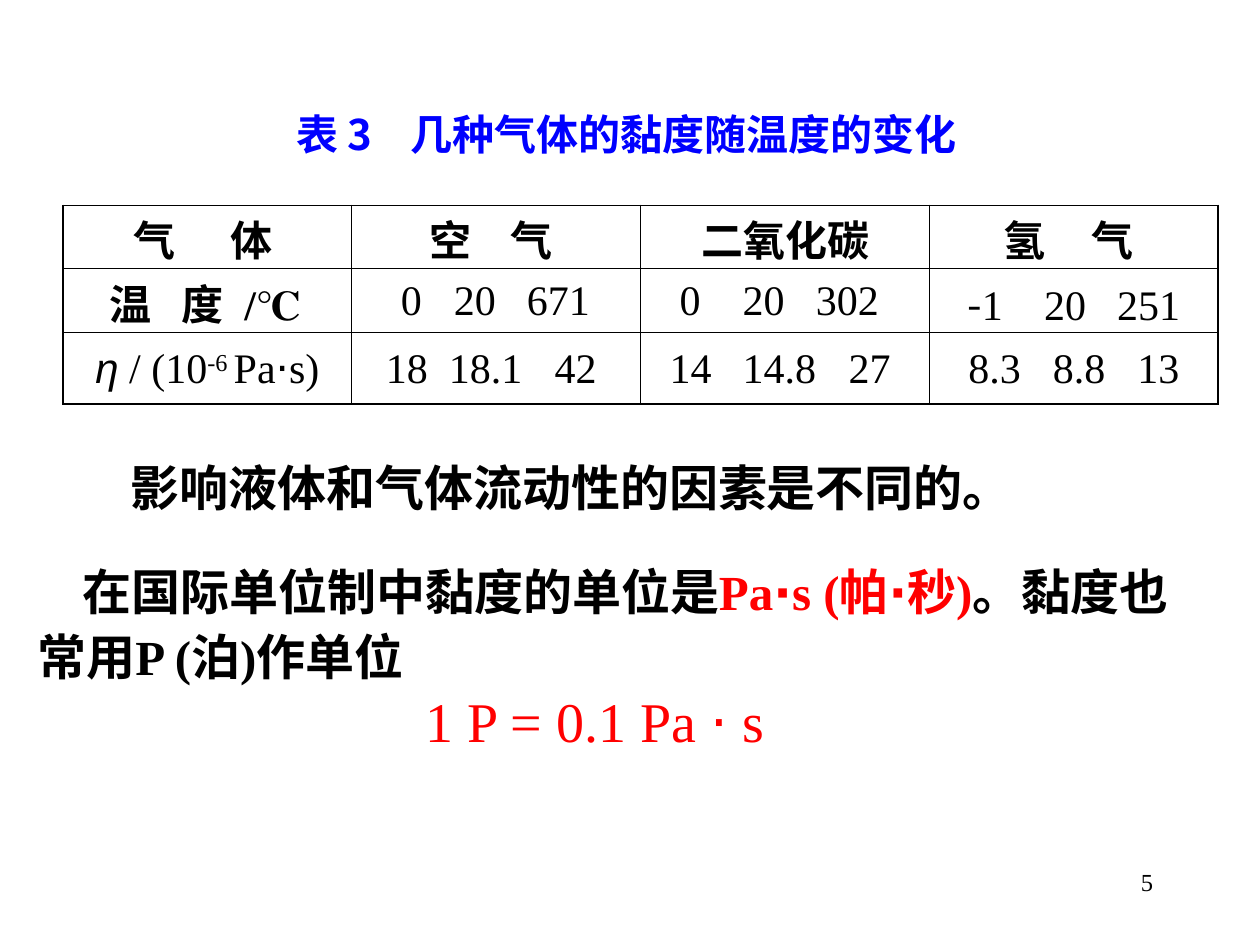
from dataclasses import dataclass

from lxml.etree import SubElement
from pptx import Presentation
from pptx.dml.color import RGBColor
from pptx.enum.text import MSO_ANCHOR, MSO_AUTO_SIZE, PP_ALIGN
from pptx.oxml.ns import qn
from pptx.util import Inches, Pt


@dataclass(frozen=True)
class Theme:
    black: str = "000000"
    blue: str = "0000FF"
    red: str = "FF0000"
    serif: str = "Times New Roman"
    sans: str = "Arial"
    chinese: str = "Noto Sans CJK SC"
    number: int = 14
    table: int = 24
    body: int = 28
    formula: int = 32
    inner_line: float = 0.45
    outer_line: float = 1.08


theme = Theme()


def write(paragraph, parts, base, tabs=(), align=PP_ALIGN.LEFT, indent=0):
    """Write runs, each a string or a (string, changes to base) pair."""
    paragraph.alignment = align
    properties = paragraph._p.get_or_add_pPr()
    if indent:
        properties.set("indent", str(Inches(indent)))
    if tabs:
        stops = SubElement(properties, qn("a:tabLst"))
        for position in tabs:
            SubElement(stops, qn("a:tab"), pos=str(Inches(position)), algn="l")
    for part in parts:
        text, changes = (part, {}) if isinstance(part, str) else part
        look = {"name": theme.serif, "color": theme.black, "bold": False, "italic": False} | base | changes
        run = paragraph.add_run()
        run.text = text
        run.font.color.rgb = RGBColor.from_string(look.pop("color"))
        baseline = look.pop("baseline", None)
        look["size"] = Pt(look["size"])
        for attribute, value in look.items():
            setattr(run.font, attribute, value)
        east_asian = changes.get("name", theme.chinese)
        run_properties = run._r.get_or_add_rPr()
        SubElement(run_properties, qn("a:ea"), typeface=east_asian)
        if baseline:
            run_properties.set("baseline", baseline)


def place(shape, left, top, width, height):
    """Set the position and plain wrapping frame; return the first paragraph."""
    shape.left, shape.top = Inches(left), Inches(top)
    shape.width, shape.height = Inches(width), Inches(height)
    frame = shape.text_frame
    frame.word_wrap = True
    frame.auto_size = MSO_AUTO_SIZE.NONE
    frame.vertical_anchor = MSO_ANCHOR.TOP
    return frame.paragraphs[0]


presentation = Presentation()
presentation.slide_width, presentation.slide_height = Inches(10), Inches(7.5)
slide = presentation.slides.add_slide(presentation.slide_layouts[5])

# Table caption
caption = place(slide.shapes.title, 2.25, 0.81, 5.54, 0.5)
write(caption, ["表 3\t几种气体的黏度随温度的变化"],
      {"name": theme.chinese, "size": theme.table, "color": theme.blue, "bold": True}, tabs=[0.91])

# Viscosity table: runs and tab stops of each cell; a cell without stops is centred
dot = ("⋅", {"name": theme.sans})
gas_rows = [
    [(["\t气\t体"], [0.46, 1.23]),
     (["\t空\t气"], [0.52, 1.16]),
     (["二氧化碳"], []),
     (["\t氢\t气"], [0.49, 1.19])],
    [(["\t温\t度\t", ("/℃", {"name": theme.serif})], [0.27, 0.84, 1.34]),
     (["\t0\t20\t671"], [0.29, 0.71, 1.29]),
     (["\t0\t20\t302"], [0.21, 0.71, 1.29]),
     (["\t", ("-", {"name": theme.chinese}), "1\t20\t251"], [0.2, 0.81, 1.39])],
    [([("η", {"name": theme.sans, "italic": True}), " / (10",
       ("-6 ", {"baseline": "30000"}), "Pa", dot, "s)"], []),
     (["\t18\t18.1\t42"], [0.17, 0.67, 1.51]),
     (["\t14\t14.8\t27"], [0.13, 0.71, 1.55]),
     (["\t8.3\t8.8\t13"], [0.21, 0.88, 1.55])],
]
row_heights = [0.5, 0.5, 0.57]
last_row, last_column = len(gas_rows) - 1, len(gas_rows[0]) - 1
viscosity = slide.shapes.add_table(
    len(gas_rows), len(gas_rows[0]), Inches(0.5), Inches(1.63), Inches(9.17), Inches(sum(row_heights))).table
viscosity.first_row = viscosity.horz_banding = False

for r, gas_row in enumerate(gas_rows):
    viscosity.rows[r].height = Inches(row_heights[r])
    for c, (parts, tabs) in enumerate(gas_row):
        cell = viscosity.cell(r, c)
        cell.vertical_anchor = MSO_ANCHOR.MIDDLE
        cell.margin_top, cell.margin_bottom = Inches(0.02), 0
        write(cell.text_frame.paragraphs[0], parts,
              {"size": theme.table, "bold": r == 0 or c == 0 and r == 1}, tabs,
              PP_ALIGN.LEFT if tabs else PP_ALIGN.CENTER)
        cell_properties = cell._tc.get_or_add_tcPr()
        outer_sides = {"a:lnL": c == 0, "a:lnR": c == last_column,
                       "a:lnT": r == 0, "a:lnB": r == last_row}
        for side, is_outer in outer_sides.items():
            weight = theme.outer_line if is_outer else theme.inner_line
            border = SubElement(cell_properties, qn(side), w=str(Pt(weight)))
            SubElement(SubElement(border, qn("a:solidFill")), qn("a:srgbClr"), val=theme.black)
        cell.fill.background()

# Statements below the table: place, look and paragraphs as (runs, first-line indent, spacing)
red = {"color": theme.red}
red_dot = ("⋅", red | {"name": theme.sans})
bold_body = {"size": theme.body, "bold": True}
statements = [
    ((0.94, 3.58, 7.28, 0.57), bold_body, PP_ALIGN.LEFT,
     [(["影响液体和气体流动性的因素是不同的。"], 0, 1)]),
    ((0.2, 4.36, 9.74, 1.13), bold_body, PP_ALIGN.LEFT,
     [(["在国际单位制中黏度的单位是", ("Pa", red), red_dot, ("s (帕", red), red_dot, ("秒)", red), "。黏度也"],
       0.36, 1.1),
      (["常用P (泊)作单位"], 0, 1.1)]),
    ((3.17, 5.4, 3.24, 0.64), red | {"size": theme.formula}, PP_ALIGN.LEFT,
     [(["1 P = 0.1 Pa ", dot, " s"], 0.11, 1)]),
    ((7.17, 6.83, 2.08, 0.5), {"size": theme.number}, PP_ALIGN.RIGHT,
     [(["5"], 0, 1)]),
]
for position, look, align, lines in statements:
    statement = slide.shapes.add_textbox(0, 0, 0, 0)
    paragraph = place(statement, *position)
    for i, (parts, indent, spacing) in enumerate(lines):
        if i:
            paragraph = statement.text_frame.add_paragraph()
        paragraph.line_spacing = spacing
        write(paragraph, parts, look, align=align, indent=indent)

presentation.save("out.pptx")
